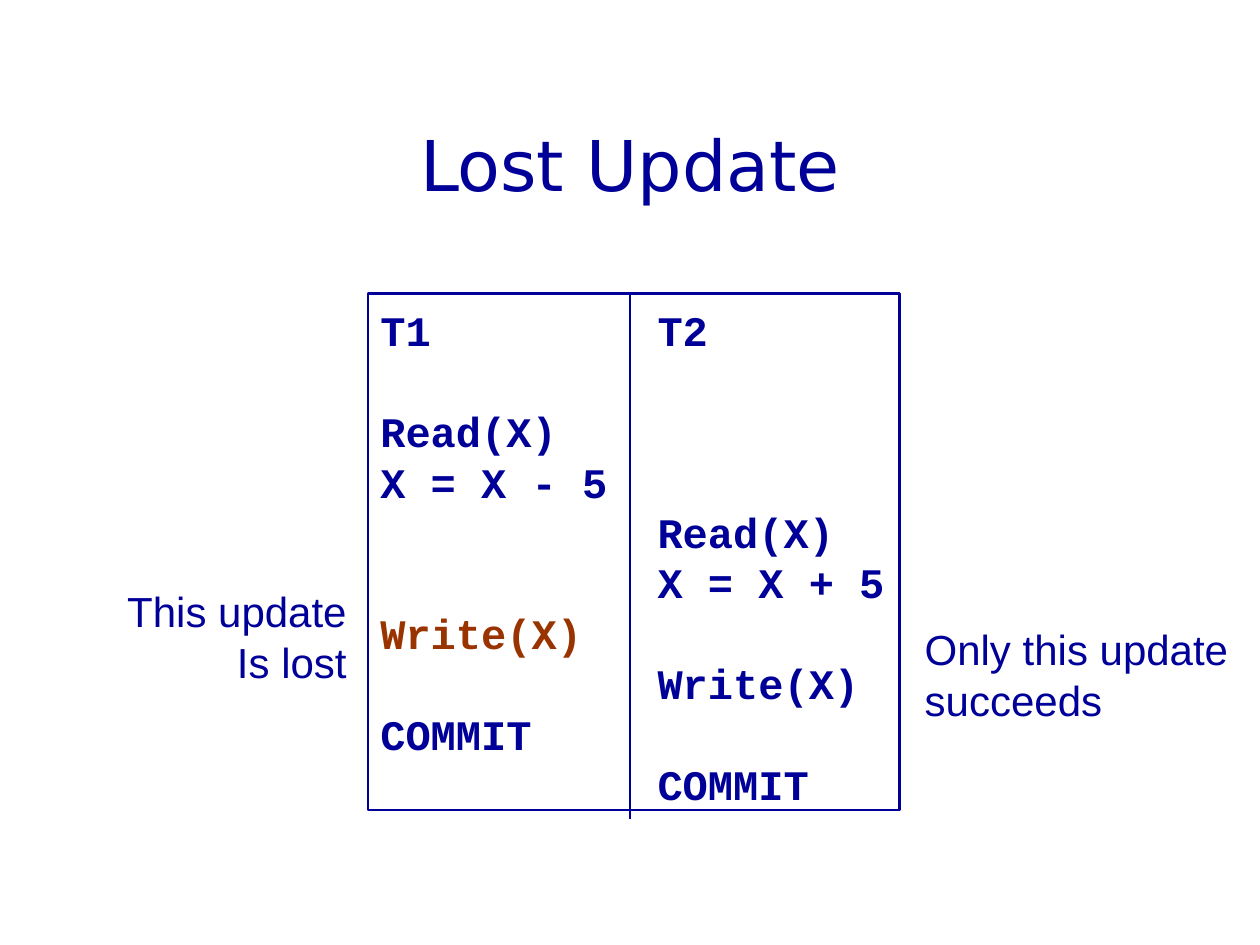
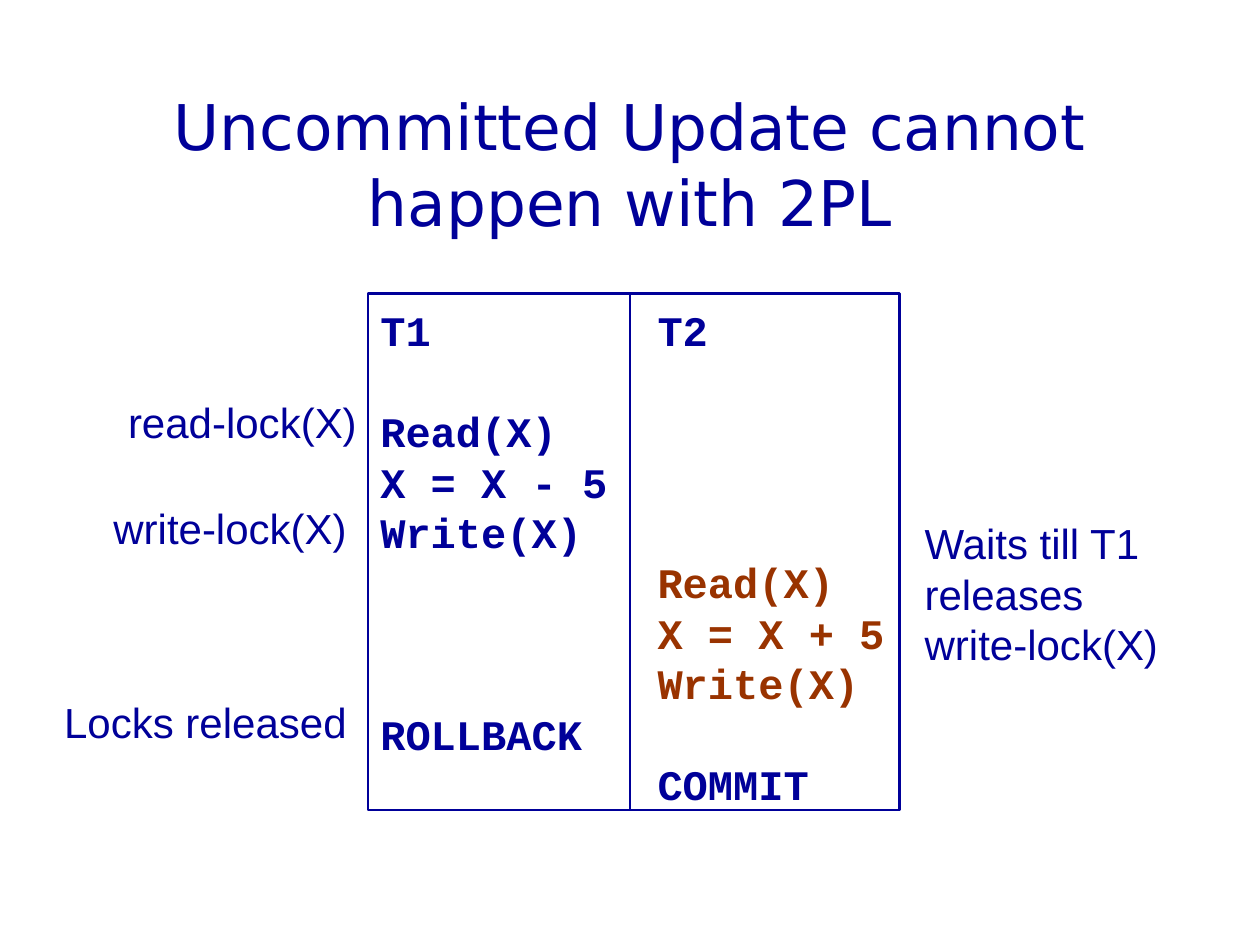
"""Build two slides on concurrent transactions."""
from dataclasses import dataclass

from lxml import etree
from pptx import Presentation, util as u
from pptx.dml.color import RGBColor
from pptx.enum import shapes, text
from pptx.oxml.ns import qn

SCALE = 9144
ALIGN = text.PP_ALIGN


@dataclass(frozen=True)
class Theme:
    """Colours, fonts and sizes shared by the slides."""
    ink: RGBColor = RGBColor(0x00, 0x00, 0x99)
    accent: RGBColor = RGBColor(0x99, 0x33, 0x00)
    title_font: str = "DejaVu Sans"
    label_font: str = "Arial"
    code_font: str = "Courier New"
    text_size: int = 24
    leading: float = 1.2
    line_width: float = 1.5


THEME = Theme()


def px(length):
    """Turn a length in px into EMU."""
    return u.Emu(length * SCALE)


def write(frame, lines, font=THEME.label_font, size=THEME.text_size, align=ALIGN.LEFT,
          bold=False, tab=None, gap_before=None, accents=(), top=5, wrap=False):
    """Fill a text frame with one paragraph per line."""
    frame.auto_size = text.MSO_AUTO_SIZE.NONE
    frame.word_wrap = wrap
    frame.margin_left = frame.margin_right = px(10)
    frame.margin_top, frame.margin_bottom = px(top), px(5)
    for index, line in enumerate(lines):
        paragraph = frame.paragraphs[0] if index == 0 else frame.add_paragraph()
        paragraph.alignment = align
        paragraph.line_spacing = u.Pt(size * THEME.leading)
        if index == gap_before:
            paragraph.space_before = u.Pt(size * THEME.leading)
        if tab:
            stops = etree.SubElement(paragraph._p.get_or_add_pPr(), qn("a:tabLst"))
            etree.SubElement(stops, qn("a:tab"), pos=str(px(tab)), algn="l")
        run = paragraph.add_run()
        run.text = line
        run.font.name, run.font.size, run.font.bold = font, u.Pt(size), bold
        run.font.color.rgb = THEME.accent if index in accents else THEME.ink


def add_titled_slide(deck, heading, size):
    """Add a slide with its title placed and formatted."""
    slide = deck.slides.add_slide(deck.slide_layouts[5])
    title = slide.shapes.title
    title.left, title.top, title.width, title.height = map(px, (75, 67, 850, 125))
    title.text_frame.vertical_anchor = text.MSO_ANCHOR.MIDDLE
    write(title.text_frame, [heading], font=THEME.title_font, size=size,
          align=ALIGN.CENTER, wrap=True)
    return slide


def draw_outline(line):
    """Give a line the shared colour and width."""
    line.color.rgb = THEME.ink
    line.width = u.Pt(THEME.line_width)


def add_schedule(slide, steps, accents, divider_end):
    """Draw the two-column schedule of T1 and T2."""
    schedule = slide.shapes.add_shape(
        shapes.MSO_SHAPE.RECTANGLE, *map(px, (292, 233, 422, 410)))
    schedule.shadow.inherit = False
    schedule.fill.background()
    draw_outline(schedule.line)
    schedule.text_frame.vertical_anchor = text.MSO_ANCHOR.TOP
    write(schedule.text_frame, ["T1\tT2", *steps], font=THEME.code_font, bold=True,
          tab=220, gap_before=1, accents=accents, top=9, wrap=True)
    divider = slide.shapes.add_connector(
        shapes.MSO_CONNECTOR.STRAIGHT, *map(px, (500, 233, 500, divider_end)))
    draw_outline(divider.line)
    etree.SubElement(divider._element.spPr, qn("a:effectLst"))


def add_label(slide, lines, left, top, width, align=ALIGN.RIGHT):
    """Add a remark beside the schedule."""
    height = 10 + 40 * len(lines)
    label = slide.shapes.add_textbox(*map(px, (left, top, width, height)))
    write(label.text_frame, lines, align=align, top=7)


def main():
    """Build and save the deck."""
    deck = Presentation()
    deck.slide_width, deck.slide_height = px(1000), px(750)

    lost = add_titled_slide(deck, "Lost Update", 40)
    add_schedule(lost, ["Read(X)", "X = X - 5", "\tRead(X)", "\tX = X + 5", "Write(X)",
                        "\tWrite(X)", "COMMIT", "\tCOMMIT"],
                 accents={5}, divider_end=650)
    add_label(lost, ["This update", "Is lost"], 91, 458, 194)
    add_label(lost, ["Only this update", "succeeds"], 724, 488, 261, ALIGN.LEFT)

    locked = add_titled_slide(deck, "Uncommitted Update cannot happen with 2PL", 36)
    add_schedule(locked, ["Read(X)", "X = X - 5", "Write(X)", "\tRead(X)", "\tX = X + 5",
                          "\tWrite(X)", "ROLLBACK", "\tCOMMIT"],
                 accents={4, 5, 6}, divider_end=642)
    add_label(locked, ["read-lock(X)"], 92, 308, 201)
    add_label(locked, ["write-lock(X)"], 80, 392, 205)
    add_label(locked, ["Waits till T1", "releases", "write-lock(X)"], 724, 404, 205, ALIGN.LEFT)
    add_label(locked, ["Locks released"], 41, 546, 244)

    deck.save("out.pptx")


if __name__ == "__main__":
    main()
